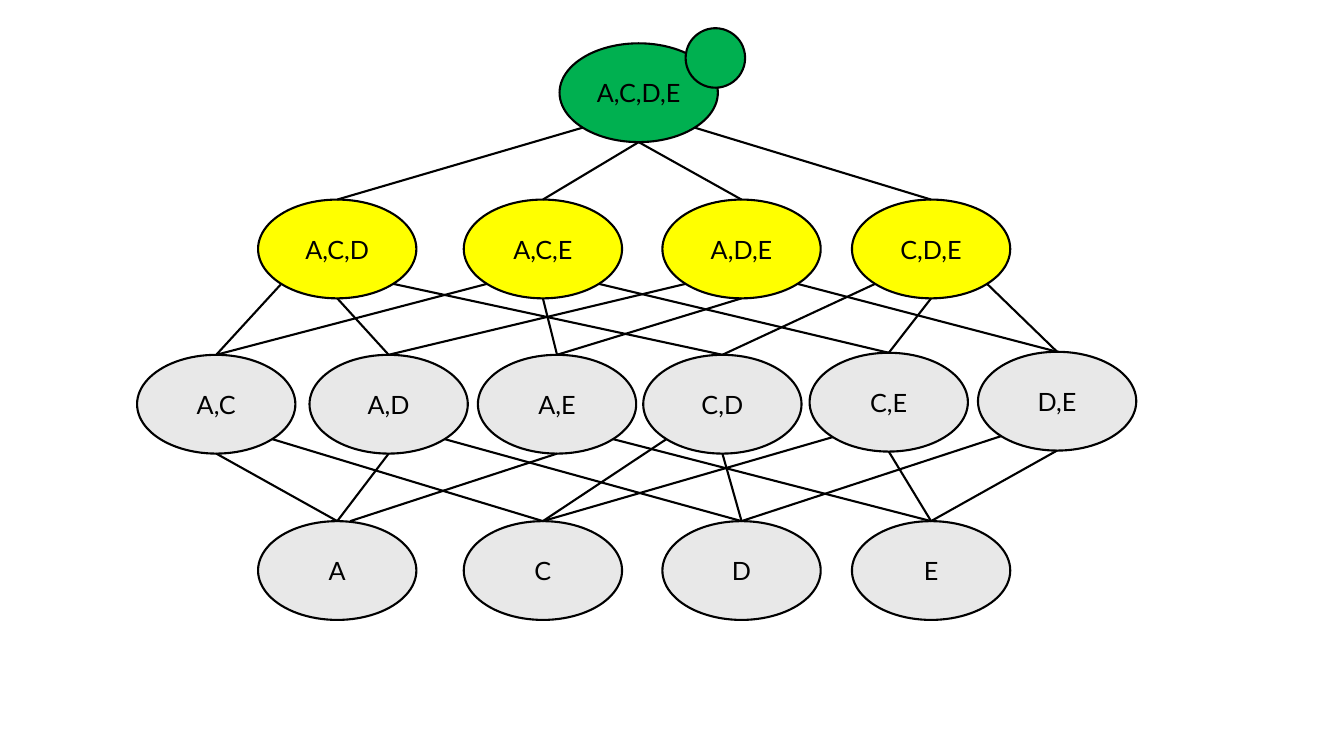
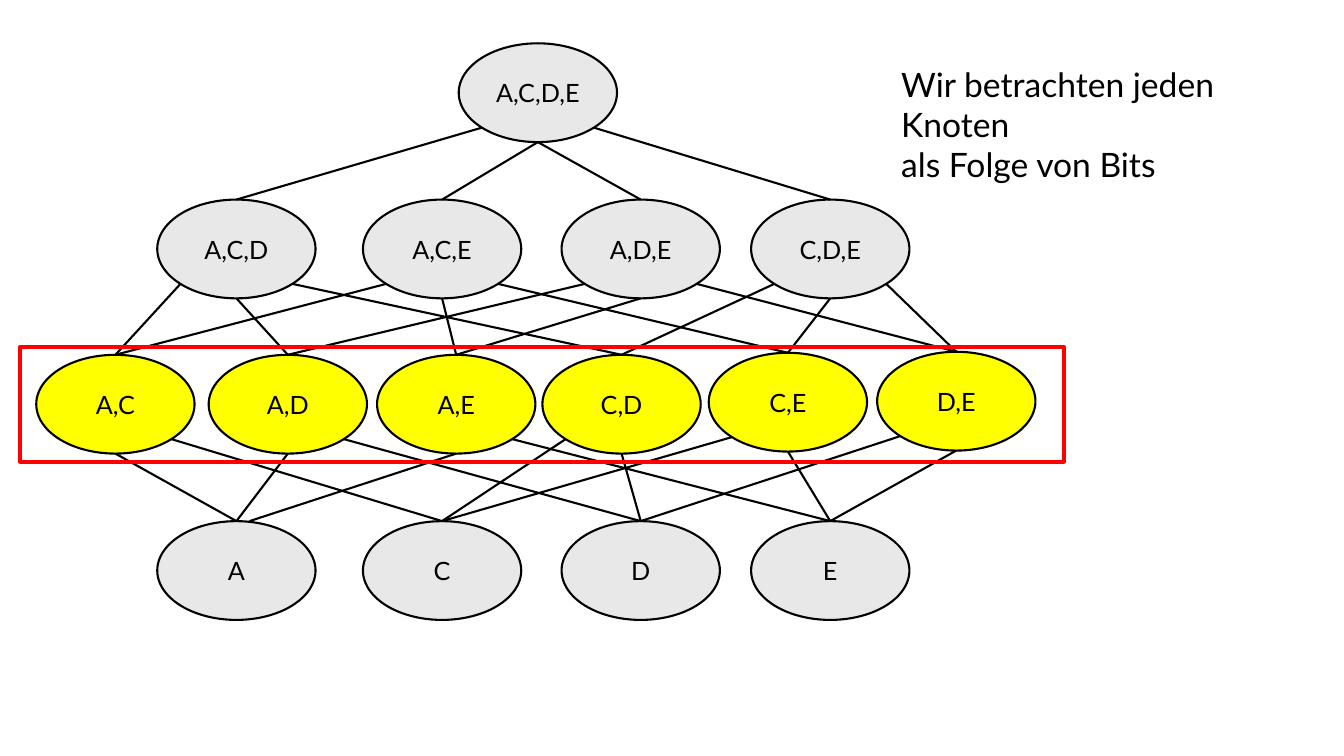
import dataclasses
import itertools
import math

import lxml.etree
import pptx
import pptx.dml.color
import pptx.enum.shapes
import pptx.enum.text
import pptx.oxml.ns
import pptx.util

Inches = pptx.util.Inches
SHAPES = pptx.enum.shapes.MSO_SHAPE
ANCHOR = pptx.enum.text.MSO_ANCHOR
ALIGN = pptx.enum.text.PP_ALIGN


@dataclasses.dataclass(frozen=True)
class Theme:
    font: str = "Lato"
    ink: str = "000000"
    plain: str = "E8E8E8"
    marked: str = "FFFF00"
    done: str = "00B050"
    frame: str = "FF0000"
    node_size: int = 18
    remark_size: int = 24
    line_width: float = 1.5
    frame_width: float = 3


THEME = Theme()

NODE_WIDTH, NODE_HEIGHT = 1.57, 0.98
LATTICE_TOP = 0.43

# Node positions relative to the top left corner of the lattice
WIDE_COLUMNS = (1.2, 3.24, 5.21, 7.09)
PAIR_COLUMNS = (0, 1.71, 3.38, 5.02, 6.67, 8.34)
PAIR_TOPS = (3.09, 3.09, 3.09, 3.09, 3.07, 3.06)
ITEMS = "ACDE"
LEVELS = {
    4: [(4.19, 0)],
    3: [(x, 1.55) for x in WIDE_COLUMNS],
    2: list(zip(PAIR_COLUMNS, PAIR_TOPS)),
    1: [(x, 4.74) for x in WIDE_COLUMNS],
}

# Edge starts on the lower rim: -1 bottom left, 0 bottom, 1 bottom right
RIM_SIDES = {4: (-1, 0, 0, 1), 3: (-1, 0, 1)}
END_SHIFTS = {("AE", "A"): 0.13}


def rgb(colour):
    return pptx.dml.color.RGBColor.from_string(colour)


def write_text(shape, text, size=THEME.node_size, colour=THEME.ink,
               align=ALIGN.CENTER, anchor=ANCHOR.MIDDLE, wrap=True):
    frame = shape.text_frame
    frame.word_wrap = wrap
    frame.vertical_anchor = anchor
    paragraph = frame.paragraphs[0]
    paragraph.text = text
    paragraph.alignment = align
    for run in paragraph.runs:
        run.font.name = THEME.font
        run.font.size = pptx.util.Pt(size)
        run.font.color.rgb = rgb(colour)


def add_outlined(slide, kind, box, fill=None, line=THEME.ink,
                 width=THEME.line_width):
    shape = slide.shapes.add_shape(kind, *map(Inches, box))
    shape.shadow.inherit = False
    if fill:
        shape.fill.solid()
        shape.fill.fore_color.rgb = rgb(fill)
    else:
        shape.fill.background()
    shape.line.color.rgb = rgb(line)
    shape.line.width = pptx.util.Pt(width)
    return shape


def rim_point(node, side):
    """Return the point at the bottom of an ellipse, or 45 degrees to a side."""
    angle = side * math.pi / 4
    x = node.left + node.width / 2 * (1 + math.sin(angle))
    y = node.top + node.height / 2 * (1 + math.cos(angle))
    return round(x), round(y)


def rim_sides(subset):
    if len(subset) == 2:
        return (0, 1) if subset[0] == ITEMS[0] else (-1, 0)
    return RIM_SIDES[len(subset)]


def add_edge(slide, parent, child, side, end_shift=0):
    end_x = child.left + child.width // 2 + Inches(end_shift)
    edge = slide.shapes.add_connector(
        pptx.enum.shapes.MSO_CONNECTOR.STRAIGHT,
        *rim_point(parent, side), end_x, child.top)
    if not end_shift:
        edge.end_connect(child, 0)
    edge.line.color.rgb = rgb(THEME.ink)
    edge.line.width = pptx.util.Pt(THEME.line_width)
    lxml.etree.SubElement(edge._element.spPr, pptx.oxml.ns.qn("a:effectLst"))


def add_lattice(slide, left, top, level_fills):
    """Draw all subsets of ITEMS by size and join each to its next smaller ones."""
    nodes = {}
    for size, places in LEVELS.items():
        subsets = map("".join, itertools.combinations(ITEMS, size))
        for subset, (x, y) in zip(subsets, places):
            box = (left + x, top + y, NODE_WIDTH, NODE_HEIGHT)
            node = add_outlined(slide, SHAPES.OVAL, box,
                                level_fills.get(size, THEME.plain))
            write_text(node, ",".join(subset), wrap=False)
            nodes[subset] = node
    for subset, parent in nodes.items():
        if len(subset) == 1:
            continue
        children = map("".join, itertools.combinations(subset, len(subset) - 1))
        for child, side in zip(children, rim_sides(subset)):
            add_edge(slide, parent, nodes[child], side,
                     END_SHIFTS.get((subset, child), 0))


def add_remark(slide, text, box):
    remark = slide.shapes.add_textbox(*map(Inches, box))
    write_text(remark, text, size=THEME.remark_size,
               align=ALIGN.LEFT, anchor=ANCHOR.TOP)


def build_finished_slide(slide):
    add_lattice(slide, 1.36, LATTICE_TOP, {4: THEME.done, 3: THEME.marked})
    add_outlined(slide, SHAPES.OVAL, (6.8, 0.28, 0.59, 0.59), THEME.done)


def build_bits_slide(slide):
    add_lattice(slide, 0.36, LATTICE_TOP, {2: THEME.marked})
    add_outlined(slide, SHAPES.RECTANGLE, (0.2, 3.44, 10.35, 1.14),
                 line=THEME.frame, width=THEME.frame_width)
    add_remark(slide, "Wir betrachten jeden Knoten \vals Folge von Bits",
               (8.84, 0.58, 4.24, 0.91))


def main():
    deck = pptx.Presentation()
    deck.slide_width, deck.slide_height = Inches(13.33), Inches(7.5)
    blank = deck.slide_layouts[6]
    for build in (build_finished_slide, build_bits_slide):
        build(deck.slides.add_slide(blank))
    deck.save("out.pptx")


if __name__ == "__main__":
    main()
